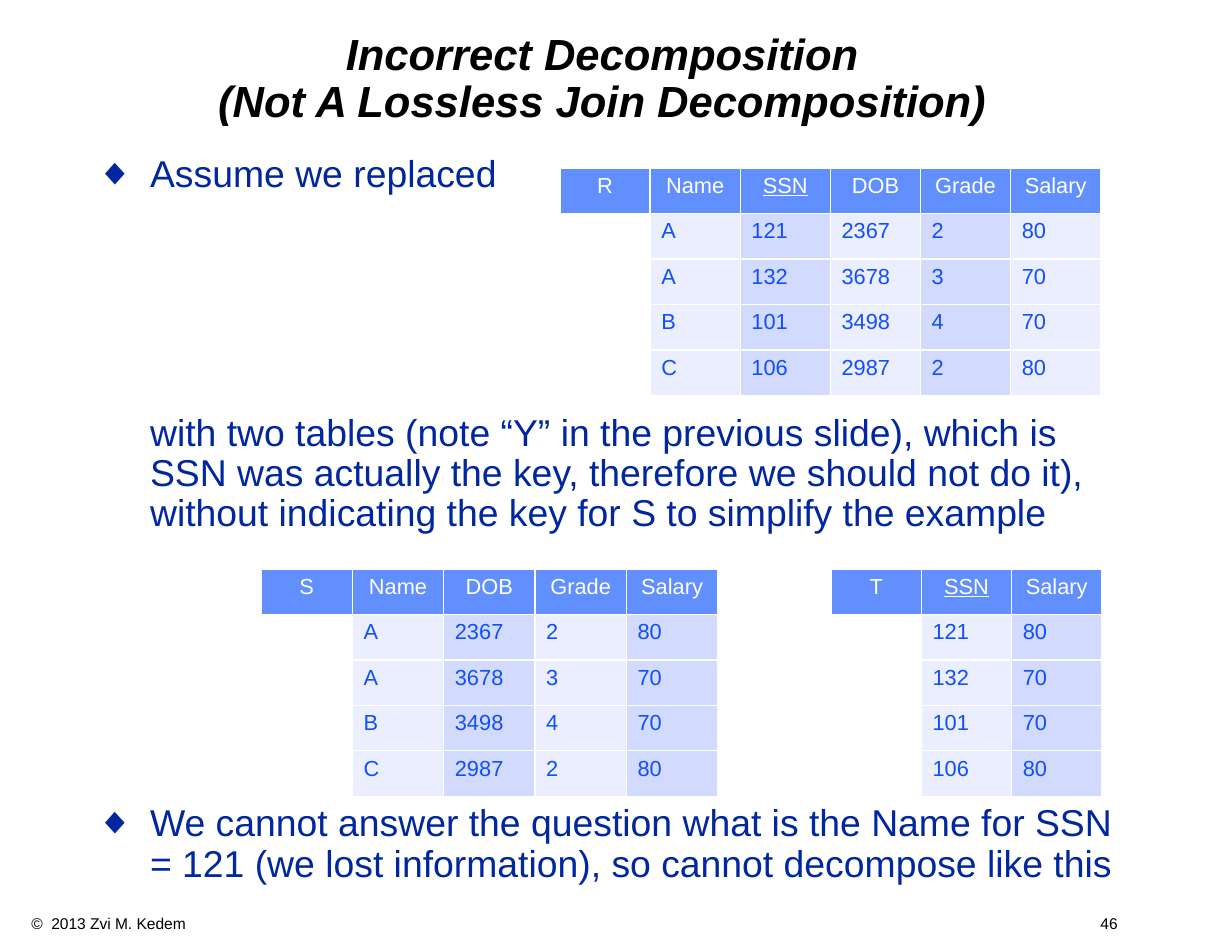
import pptx
import pptx.dml.color
import pptx.enum.text
import pptx.oxml
import pptx.oxml.ns
import pptx.util
from pptx.util import Inches

HUES = {
    "black": "000000",
    "white": "FFFFFF",
    "navy": "00279F",
    "head": "618FFD",
    "ink": "114FFB",
    "pale": "EAEEFF",
    "deep": "D2DBFE",
}
ALIGN = pptx.enum.text.PP_ALIGN
ANCHOR = pptx.enum.text.MSO_ANCHOR
FIT = pptx.enum.text.MSO_AUTO_SIZE
NAMES = ["A", "A", "B", "C"]
NUMS = ["121", "132", "101", "106"]
BIRTHS = ["2367", "3678", "3498", "2987"]
GRADES = ["2", "3", "4", "2"]
PAY = ["80", "70", "70", "80"]


def color(key):
    return pptx.dml.color.RGBColor.from_string(HUES[key])


def apply(thing, **vals):
    for key, val in vals.items():
        setattr(thing, key, val)


def style(para, size, hue, **vals):
    apply(para.font, name="Arial", size=pptx.util.Pt(size), **vals)
    para.font.color.rgb = color(hue)


def place(shape, left, top, width, height):
    apply(shape, left=Inches(left), top=Inches(top),
          width=Inches(width), height=Inches(height))
    apply(shape.text_frame, word_wrap=True, auto_size=FIT.NONE,
          margin_left=Inches(0.11), margin_right=Inches(0.11),
          margin_top=Inches(0.06), margin_bottom=Inches(0.06))


def add_xml(para, tag, inner="", **attrs):
    props = para._p.get_or_add_pPr()
    space = pptx.oxml.ns.nsdecls("a")
    node = pptx.oxml.parse_xml(f"<a:{tag} {space}>{inner}</a:{tag}>")
    for key, val in attrs.items():
        node.set(key, val)
    props.append(node)


def add_title(slide, text):
    shape = slide.shapes.title
    place(shape, 0.75, 0.25, 9.25, 0.92)
    frame = shape.text_frame
    apply(frame, text=text, vertical_anchor=ANCHOR.MIDDLE)
    para = frame.paragraphs[0]
    apply(para, alignment=ALIGN.CENTER, line_spacing=0.9)
    style(para, 28, "black", bold=True, italic=True)


def add_body(slide, items):
    shape = slide.placeholders[1]
    place(shape, 0.75, 1.33, 9.33, 6.67)
    frame = shape.text_frame
    frame.text = "\n".join(text for text, gap, mark in items)
    for para, (text, gap, mark) in zip(frame.paragraphs, items):
        apply(para, line_spacing=0.9, space_before=pptx.util.Pt(gap))
        style(para, 24, "navy")
        props = para._p.get_or_add_pPr()
        props.set("marL", str(Inches(0.48)))
        props.set("indent", str(Inches(-0.48 if mark else 0)))
        if mark:
            add_xml(para, "buClr", f'<a:srgbClr val="{HUES["navy"]}"/>')
            add_xml(para, "buFont", typeface="Arial")
            add_xml(para, "buChar", char="◆")
        else:
            add_xml(para, "buNone")


def fill_cell(cell, text, fill, hue, **vals):
    cell.fill.solid()
    cell.fill.fore_color.rgb = color(fill)
    cell.text = text
    style(cell.text_frame.paragraphs[0], 14, hue, bold=False, **vals)


def add_grid(slide, name, data, left, top, width):
    cols = [[name] + [""] * 4] + [[key] + vals for key, vals in data.items()]
    frame = slide.shapes.add_table(5, len(cols), Inches(left), Inches(top),
                                   Inches(width), Inches(2.03))
    table = frame.table
    for c, vals in enumerate(cols):
        for r, text in enumerate(vals):
            cell = table.cell(r, c)
            if r == 0:
                fill_cell(cell, text, "head", "white", underline=text == "SSN")
                cell.text_frame.paragraphs[0].alignment = ALIGN.CENTER
            elif c == 0:
                fill_cell(cell, text, "white", "ink")
            else:
                fill_cell(cell, text, "pale" if c % 2 else "deep", "ink")


def add_foot(slide, text):
    shape = slide.shapes.add_textbox(0, 0, 0, 0)
    place(shape, 0.17, 8.1, 10.34, 0.27)
    shape.text_frame.text = text
    para = shape.text_frame.paragraphs[0]
    style(para, 10, "black")
    add_xml(para, "tabLst", f'<a:tab pos="{Inches(9.7)}" algn="r"/>')


def main():
    deck = pptx.Presentation()
    apply(deck, slide_width=Inches(11), slide_height=Inches(8.5))
    slide = deck.slides.add_slide(deck.slide_layouts[1])
    add_foot(slide, "©  2013 Zvi M. Kedem\t46")
    add_title(slide, "Incorrect Decomposition\v"
                     "(Not A Lossless Join Decomposition)")
    add_body(slide, [
        ("Assume we replaced", 0, True),
        ("with two tables (note “Y” in the previous slide), which is SSN "
         "was actually the key, therefore we should not do it), without "
         "indicating the key for S to simplify the example", 140, False),
        ("We cannot answer the question what is the Name for SSN = 121 "
         "(we lost information), so cannot decompose like this", 173.5, True),
    ])
    add_grid(slide, "R", {"Name": NAMES, "SSN": NUMS, "DOB": BIRTHS,
                          "Grade": GRADES, "Salary": PAY}, 5, 1.5, 4.83)
    add_grid(slide, "S", {"Name": NAMES, "DOB": BIRTHS, "Grade": GRADES,
                          "Salary": PAY}, 2.33, 5.08, 4.08)
    add_grid(slide, "T", {"SSN": NUMS, "Salary": PAY}, 7.42, 5.08, 2.42)
    deck.save("out.pptx")


if __name__ == "__main__":
    main()
